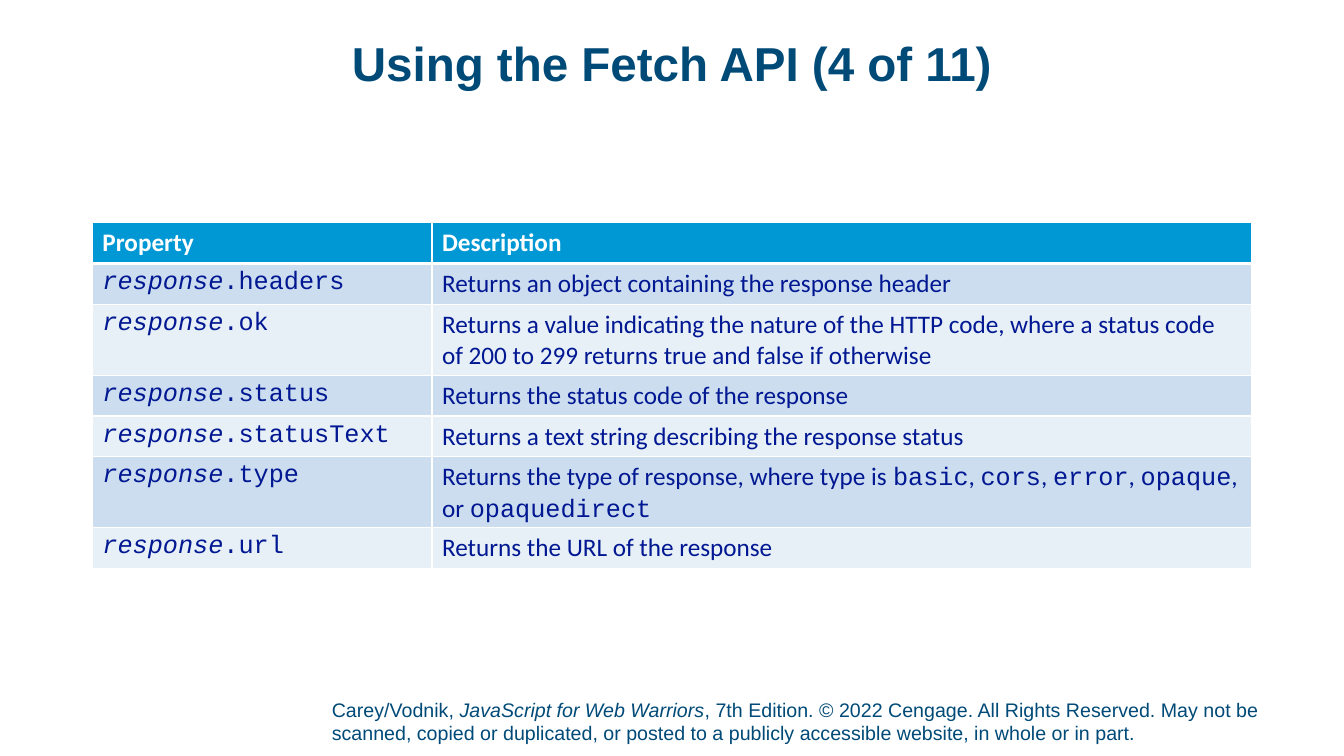
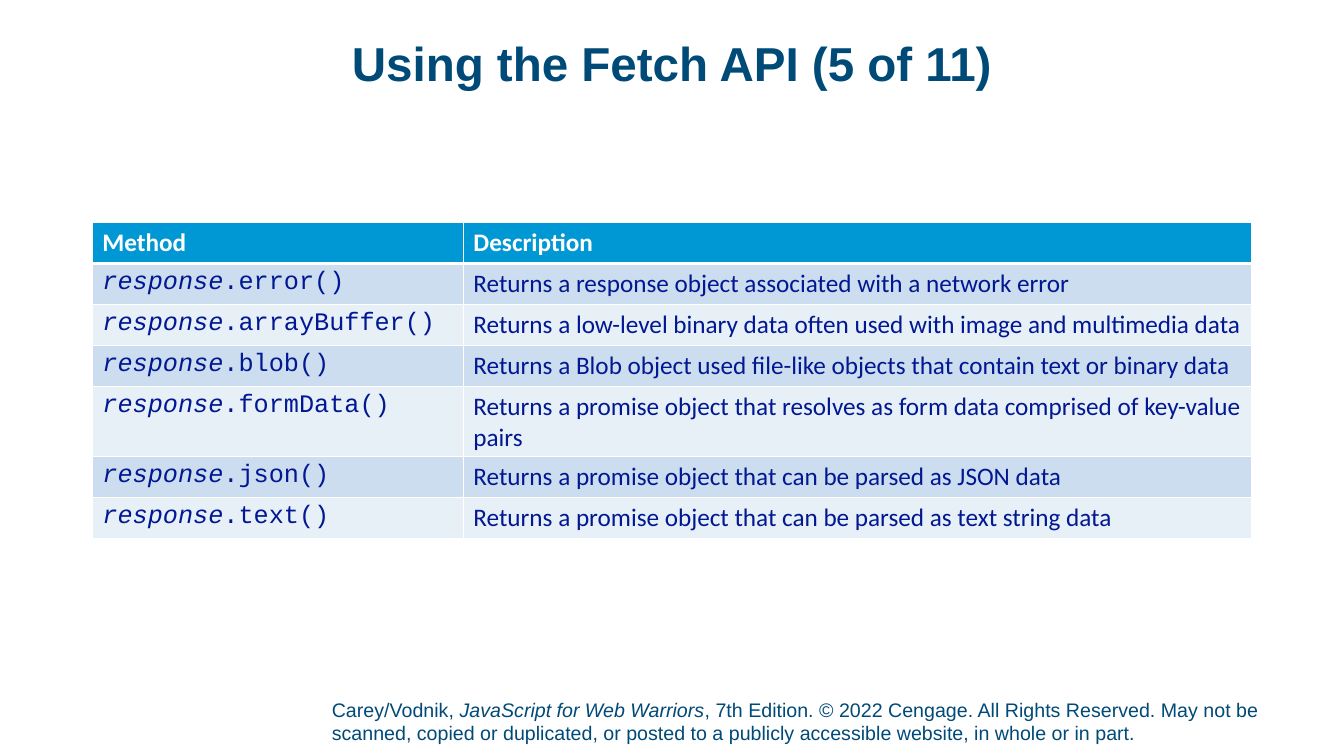
"""Build two slides that list the members of the Fetch API response object."""
from lxml.etree import SubElement
from pptx import Presentation
from pptx.dml.color import RGBColor
from pptx.enum.text import MSO_ANCHOR, PP_ALIGN
from pptx.oxml.ns import qn
from pptx.util import Pt

NAVY, INDIGO, WHITE = "004A78", "011892", "FFFFFF"
HEADER_FILL, BAND_FILLS = "0098D4", ("CCDDEF", "E7EFF7")
HEADING_FONT, BODY_FONT, CODE_FONT = "Arial", "Calibri", "Courier New"
TITLE_BOX = (66, 28.8, 828, 53.3)
TABLE_BOX = (66, 159.1, 828)
FOOTER_BOX = (237, 498, 705, 37.6)
ROW_HEIGHT = 29.2

PROPERTIES = [
    ("headers", "Returns an object containing the response header"),
    ("ok", "Returns a value indicating the nature of the HTTP code, where a status code "
           "of 200 to 299 returns true and false if otherwise"),
    ("status", "Returns the status code of the response"),
    ("statusText", "Returns a text string describing the response status"),
    ("type", "Returns the type of response, where type is `basic`, `cors`, `error`, "
             "`opaque`, or `opaquedirect`"),
    ("url", "Returns the URL of the response"),
]
METHODS = [
    ("error()", "Returns a response object associated with a network error"),
    ("arrayBuffer()", "Returns a low-level binary data often used with image and multimedia data"),
    ("blob()", "Returns a Blob object used file-like objects that contain text or binary data"),
    ("formData()", "Returns a promise object that resolves as form data comprised of key-value pairs"),
    ("json()", "Returns a promise object that can be parsed as JSON data"),
    ("text()", "Returns a promise object that can be parsed as text string data"),
]


def color(hex_value):
    """Turn a hex string into a colour."""
    return RGBColor.from_string(hex_value)


def add_run(paragraph, text, size, font_name, hex_value, bold=False, italic=False):
    """Add one formatted run to a paragraph."""
    run = paragraph.add_run()
    run.text = text
    font = run.font
    font.size, font.name, font.bold, font.italic = Pt(size), font_name, bold, italic
    font.color.rgb = color(hex_value)


def add_text_box(slide, box, anchor, bottom_margin=0):
    """Add a wrapping text box and return its first paragraph."""
    frame = slide.shapes.add_textbox(*map(Pt, box)).text_frame
    frame.word_wrap = True
    frame.vertical_anchor = anchor
    frame.margin_left = frame.margin_top = frame.margin_right = 0
    frame.margin_bottom = Pt(bottom_margin)
    return frame.paragraphs[0]


def add_title(slide, box, text):
    """Place the centred slide title."""
    paragraph = add_text_box(slide, box, MSO_ANCHOR.TOP)
    paragraph.alignment = PP_ALIGN.CENTER
    paragraph.line_spacing = 0.9
    add_run(paragraph, text, 34, HEADING_FONT, NAVY, bold=True)


def add_footer(slide, box):
    """Place the copyright line at the foot of the slide."""
    paragraph = add_text_box(slide, box, MSO_ANCHOR.BOTTOM, 3.6)
    add_run(paragraph, "Carey/Vodnik, ", 14, HEADING_FONT, NAVY)
    add_run(paragraph, "JavaScript for Web Warriors", 14, HEADING_FONT, NAVY, italic=True)
    add_run(paragraph, ", 7th Edition. © 2022 Cengage. All Rights Reserved. May not be scanned, "
            "copied or duplicated, or posted to a publicly accessible website, in whole or in part.",
            14, HEADING_FONT, NAVY)


def style_cell(cell, fill, top, bottom):
    """Give a cell white borders and a solid fill."""
    properties = cell._tc.get_or_add_tcPr()
    for tag, width in (("a:lnL", 1), ("a:lnR", 1), ("a:lnT", top), ("a:lnB", bottom)):
        line = SubElement(properties, qn(tag), w=str(Pt(width)))
        SubElement(SubElement(line, qn("a:solidFill")), qn("a:srgbClr"), val=WHITE)
    cell.fill.solid()
    cell.fill.fore_color.rgb = color(fill)


def add_member_table(slide, box, first_width, heading, members):
    """Place a table of response members; backticks mark code in descriptions."""
    left, top, width = box
    count = len(members) + 1
    frame = slide.shapes.add_table(count, 2, *map(Pt, (left, top, width, ROW_HEIGHT * count)))
    table = frame.table
    table.columns[0].width, table.columns[1].width = Pt(first_width), Pt(width - first_width)
    for index, row in enumerate(table.rows):
        row.height = Pt(ROW_HEIGHT)
        fill = BAND_FILLS[(index - 1) % 2] if index else HEADER_FILL
        for cell in row.cells:
            style_cell(cell, fill, 3 if index == 1 else 1, 3 if index == 0 else 1)
    for column, text in enumerate((heading, "Description")):
        paragraph = table.cell(0, column).text_frame.paragraphs[0]
        add_run(paragraph, text, 18, BODY_FONT, WHITE, bold=True)
    for index, (member, description) in enumerate(members, 1):
        name, detail = (table.cell(index, column).text_frame.paragraphs[0] for column in (0, 1))
        add_run(name, "response", 18, CODE_FONT, INDIGO, italic=True)
        add_run(name, "." + member, 18, CODE_FONT, INDIGO)
        for position, text in enumerate(description.split("`")):
            if text:
                add_run(detail, text, 18, (BODY_FONT, CODE_FONT)[position % 2], INDIGO)


def add_member_slide(presentation, title, first_width, heading, members):
    """Add a slide with footer, title and member table."""
    slide = presentation.slides.add_slide(presentation.slide_layouts[6])
    add_footer(slide, FOOTER_BOX)
    add_title(slide, TITLE_BOX, title)
    add_member_table(slide, TABLE_BOX, first_width, heading, members)


def main():
    """Build and save the presentation."""
    presentation = Presentation()
    presentation.slide_width, presentation.slide_height = Pt(960), Pt(540)
    add_member_slide(presentation, "Using the Fetch API (4 of 11)", 242.6, "Property", PROPERTIES)
    add_member_slide(presentation, "Using the Fetch API (5 of 11)", 265, "Method", METHODS)
    presentation.save("out.pptx")


if __name__ == "__main__":
    main()
